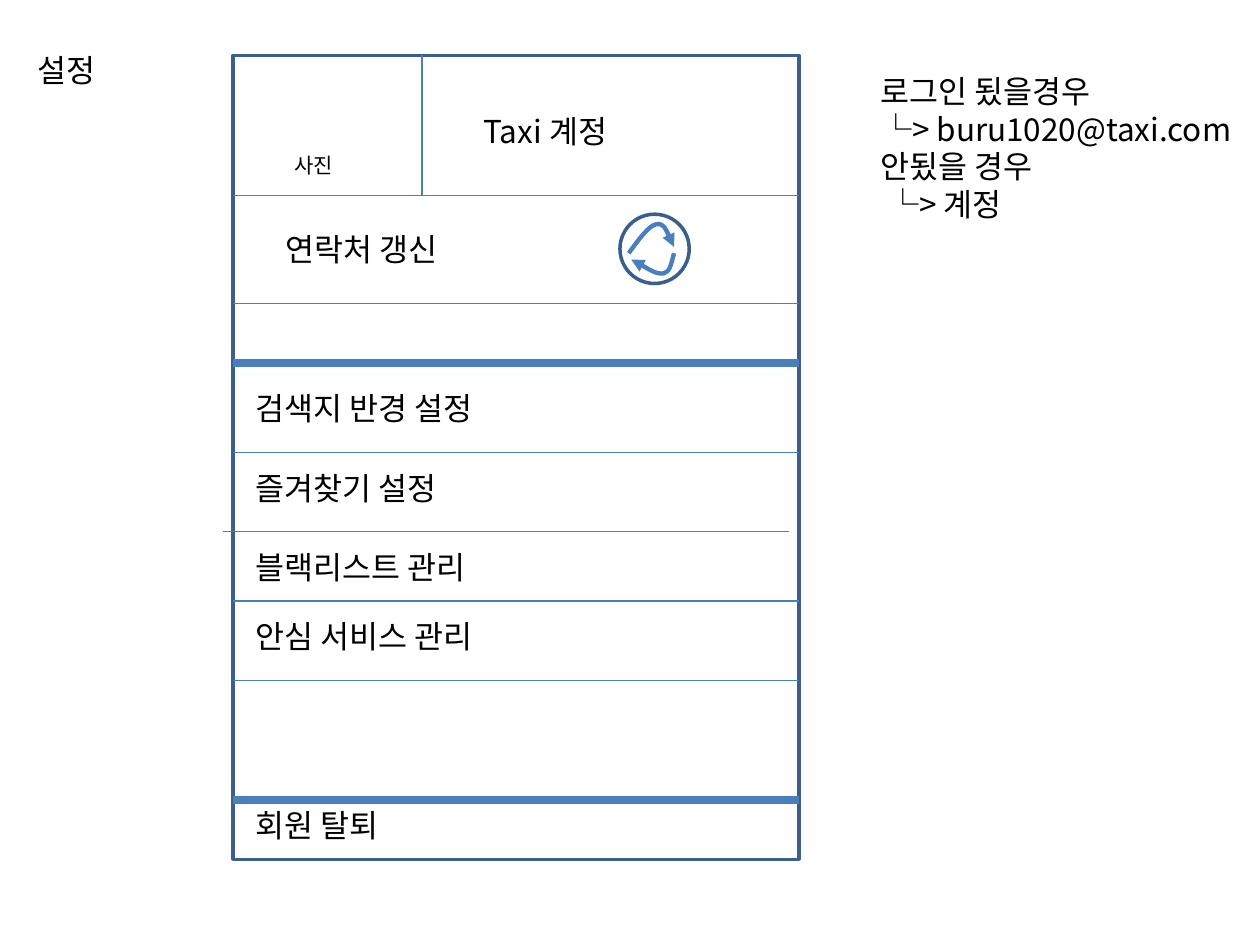
from pptx import Presentation
from pptx.dml.color import RGBColor
from pptx.enum.shapes import MSO_CONNECTOR, MSO_SHAPE
from pptx.oxml.ns import qn
from pptx.util import Inches, Pt
from lxml import etree

STRAIGHT = MSO_CONNECTOR.STRAIGHT
RECTANGLE, OVAL = MSO_SHAPE.RECTANGLE, MSO_SHAPE.OVAL
BLACK = RGBColor(0x00, 0x00, 0x00)
FRAME_BLUE = RGBColor(0x3A, 0x5F, 0x8C)
LINE_BLUE = RGBColor(0x4B, 0x7E, 0xBC)
FONT = "Noto Sans CJK KR"
LEFT, TOP, WIDTH, HEIGHT = 1.85, 0.44, 4.49, 6.38
RIGHT = LEFT + WIDTH
HEADER_BOTTOM = 1.55
THIN, THICK = 0.75, 5
DIVIDERS = [(HEADER_BOTTOM, THIN), (2.41, THIN), (2.88, THICK), (3.59, THIN),
            (4.77, THIN), (5.4, THIN), (6.35, THICK)]
MENU = [("검색지 반경 설정", 3.04), ("즐겨찾기 설정", 3.67), ("블랙리스트 관리", 4.3),
        ("안심 서비스 관리", 4.85), ("회원 탈퇴", 6.35)]
LOGIN_NOTE = "로그인 됬을경우\n└> buru1020@taxi.com\n안됬을 경우\n └> 계정"
REFRESH_ARROWS = [
    [(4.99, 2.01), (5.07, 1.9), (5.15, 1.79), (5.21, 1.78),
     (5.27, 1.77), (5.31, 1.87), (5.35, 1.96)],
    [(5.35, 2.01), (5.33, 2.08), (5.32, 2.16), (5.27, 2.17),
     (5.21, 2.18), (5.05, 2.08), (5.01, 2.06)],
]


def add_text(slide, text, left, top, width, height=0.4, size=18):
    box = slide.shapes.add_textbox(Inches(left), Inches(top), Inches(width), Inches(height))
    frame = box.text_frame
    frame.word_wrap = True
    frame.text = text
    for paragraph in frame.paragraphs:
        paragraph.line_spacing = Pt(size * 1.2)
        for run in paragraph.runs:
            run.font.size = Pt(size)
            run.font.name = FONT
            run.font.color.rgb = BLACK
            east_asian = etree.SubElement(run._r.get_or_add_rPr(), qn("a:ea"))
            east_asian.set("typeface", FONT)


def add_outline(slide, preset, left, top, width, height):
    shape = slide.shapes.add_shape(
        preset, Inches(left), Inches(top), Inches(width), Inches(height))
    shape.shadow.inherit = False
    shape.fill.background()
    shape.line.color.rgb = FRAME_BLUE
    shape.line.width = Pt(2)


def add_line(slide, start, end, weight=THIN):
    points = [Inches(value) for value in (*start, *end)]
    connector = slide.shapes.add_connector(STRAIGHT, *points)
    connector.line.color.rgb = LINE_BLUE
    connector.line.width = Pt(weight)
    etree.SubElement(connector._element.spPr, qn("a:effectLst"))


def add_curved_arrow(slide, points):
    """Draw an open chain of cubic curves that ends in an arrowhead."""
    builder = slide.shapes.build_freeform(
        Inches(points[0][0]), Inches(points[0][1]), scale=1.0)
    builder.add_line_segments([(Inches(x), Inches(y)) for x, y in points[1:]], close=False)
    shape = builder.convert_to_shape()
    shape.shadow.inherit = False
    shape.fill.background()
    shape.line.color.rgb = LINE_BLUE
    shape.line.width = Pt(2.5)
    segments = list(shape._element.iter(qn("a:lnTo")))
    outline = segments[0].getparent()
    for first in range(0, len(segments), 3):
        curve = etree.SubElement(outline, qn("a:cubicBezTo"))
        for segment in segments[first:first + 3]:
            curve.append(segment[0])
            outline.remove(segment)
    etree.SubElement(shape.line._get_or_add_ln(), qn("a:tailEnd")).set("type", "triangle")


def main():
    presentation = Presentation()
    presentation.slide_width, presentation.slide_height = Inches(10), Inches(7.5)
    slide = presentation.slides.add_slide(presentation.slide_layouts[6])

    add_outline(slide, RECTANGLE, LEFT, TOP, WIDTH, HEIGHT)
    add_text(slide, "설정", 0.2, 0.36, 5.12)
    add_line(slide, (3.35, TOP), (3.35, HEADER_BOTTOM))
    add_text(slide, "사진", 2.24, 1.16, 3.54, height=0.3, size=12)
    add_text(slide, "Taxi 계정", 3.74, 0.84, 10.63)
    add_text(slide, LOGIN_NOTE, 6.89, 0.52, 6.22, height=1.62)

    add_text(slide, "연락처 갱신", 2.17, 1.78, 2.36)
    for points in REFRESH_ARROWS:
        add_curved_arrow(slide, points)
    add_outline(slide, OVAL, 4.92, 1.7, 0.55, 0.55)

    for y, weight in DIVIDERS:
        add_line(slide, (LEFT, y), (RIGHT, y), weight)
    add_line(slide, (LEFT - 0.08, 4.22), (RIGHT - 0.08, 4.22))
    for label, top in MENU:
        add_text(slide, label, 1.93, top, 8.19)

    presentation.save("out.pptx")


if __name__ == "__main__":
    main()
